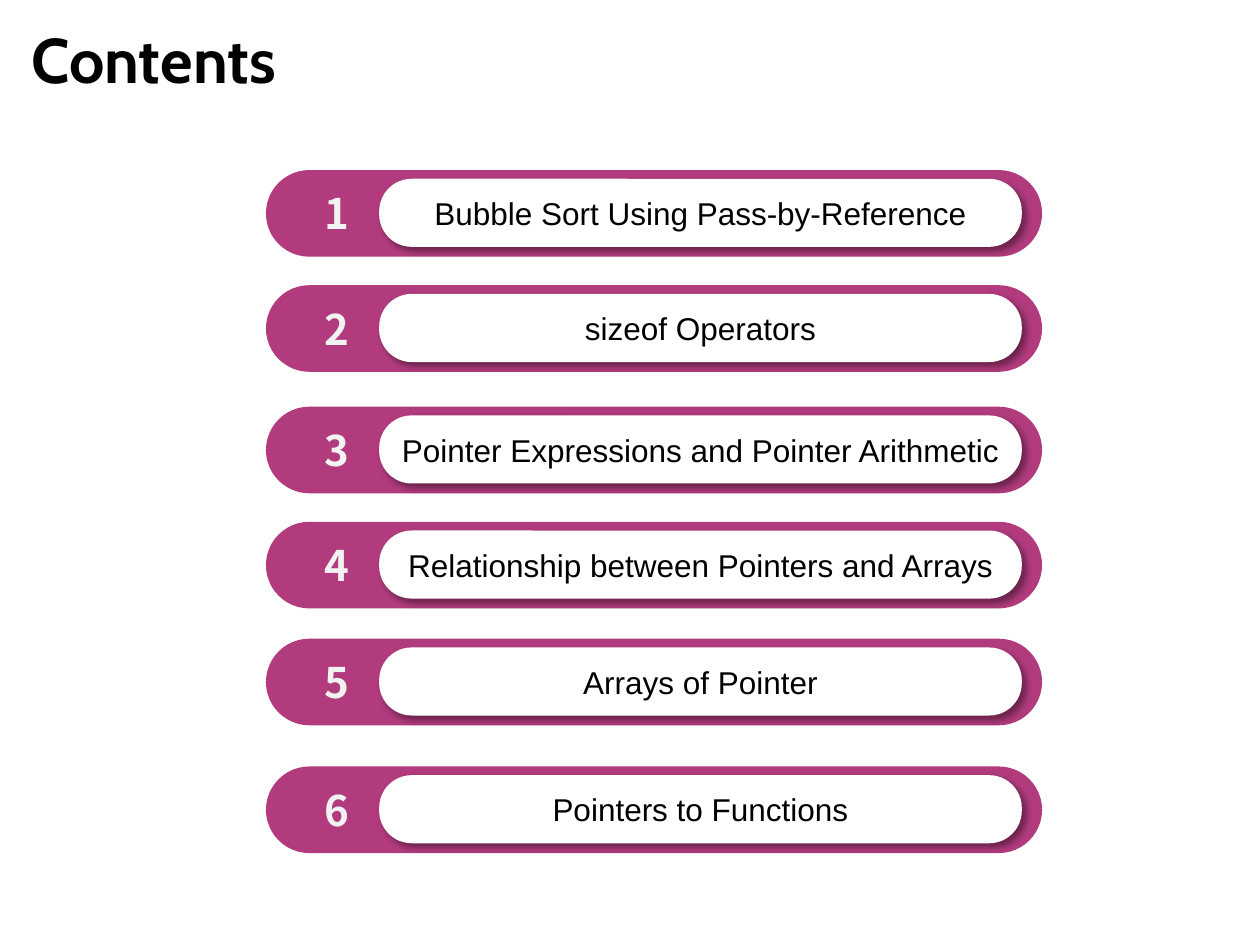
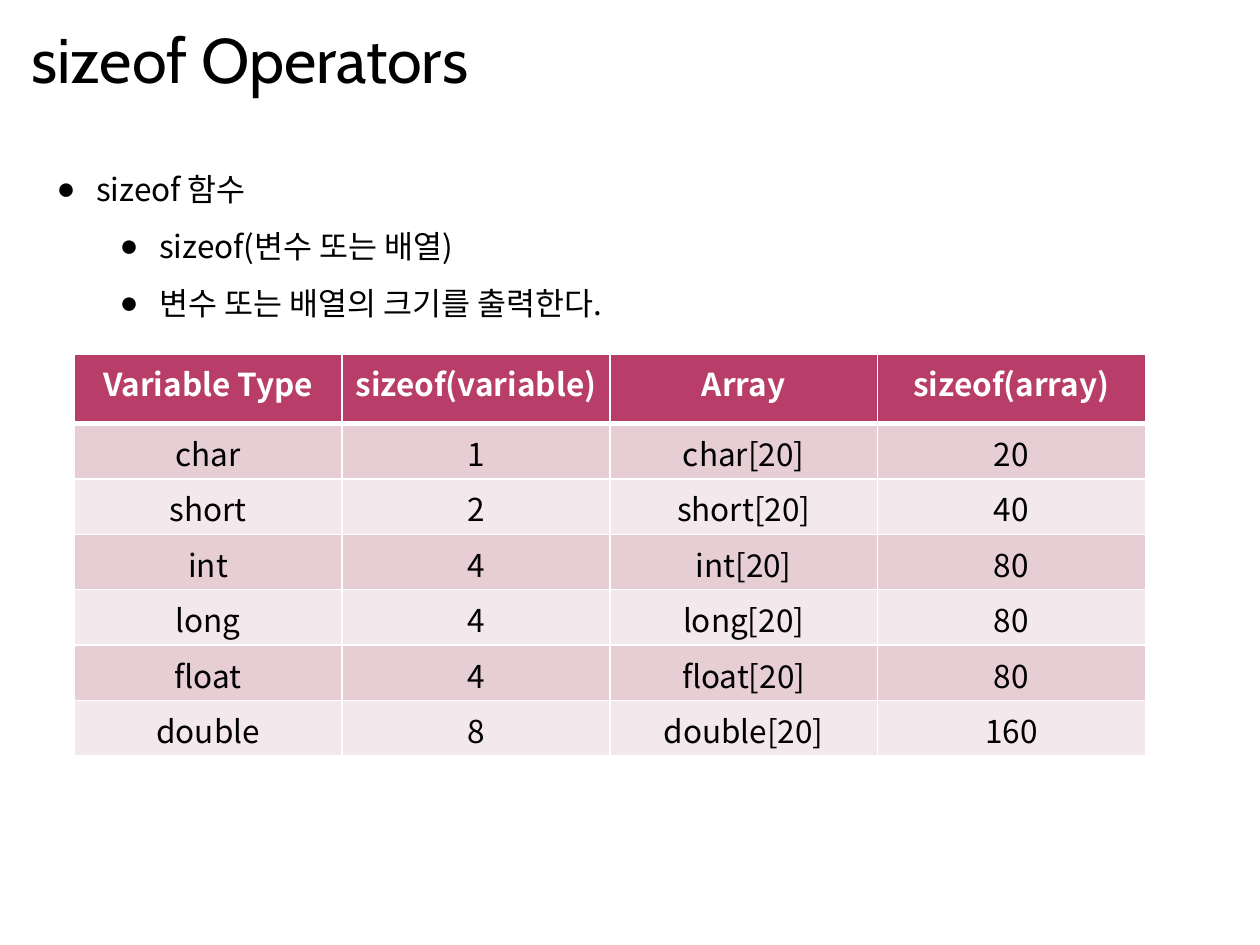
from lxml import etree
from pptx import Presentation
from pptx.dml.color import RGBColor
from pptx.enum.shapes import MSO_SHAPE
from pptx.enum.text import MSO_ANCHOR, MSO_AUTO_SIZE, PP_ALIGN
from pptx.oxml.ns import qn
from pptx.util import Pt

ROUNDED = MSO_SHAPE.ROUNDED_RECTANGLE
MIDDLE = MSO_ANCHOR.MIDDLE
GROW = MSO_AUTO_SIZE.SHAPE_TO_FIT_TEXT
FIXED = MSO_AUTO_SIZE.NONE
LEFT, CENTER = PP_ALIGN.LEFT, PP_ALIGN.CENTER

COLORS = {
    "ink": "000000",
    "paper": "FFFFFF",
    "bar": "B23B7E",
    "number": "F2F2F2",
    "header": "B83D68",
    "band_dark": "E6CED4",
    "band_light": "F3E8EB",
}
TITLE_FONT, TOPIC_FONT, TEXT_FONT = "Cabin", "Arial", "Noto Sans CJK KR"
TITLE_LAYOUT, LIST_LAYOUT = 5, 1

TOPICS = [
    (97.2, "Bubble Sort Using Pass-by-Reference"),
    (163, "sizeof Operators"),
    (232.4, "Pointer Expressions and Pointer Arithmetic"),
    (298.2, "Relationship between Pointers and Arrays"),
    (365, "Arrays of Pointer"),
    (438, "Pointers to Functions"),
]
EXPLANATION = [
    (0, "sizeof 함수"),
    (1, "sizeof(변수 또는 배열)"),
    (1, "변수 또는 배열의 크기를 출력한다."),
]
TYPE_SIZES = [("char", 1), ("short", 2), ("int", 4), ("long", 4), ("float", 4), ("double", 8)]
ARRAY_LENGTH = 20


class Deck:
    """Holds the shared style and the slide being built."""

    def __init__(self):
        self.presentation = Presentation()
        self.presentation.slide_width = Pt(720)
        self.presentation.slide_height = Pt(540)
        self.slide = None

    def rgb(self, color):
        return RGBColor.from_string(COLORS[color])

    def place(self, shape, left, top, width, height):
        shape.left, shape.top = Pt(left), Pt(top)
        shape.width, shape.height = Pt(width), Pt(height)

    def style(self, paragraph, font_name, size, color="ink", bold=False, align=CENTER):
        paragraph.alignment = align
        font = paragraph.font
        font.name, font.size, font.bold = font_name, Pt(size), bold
        font.color.rgb = self.rgb(color)
        defaults = paragraph._p.pPr.find(qn("a:defRPr"))
        etree.SubElement(defaults, qn("a:ea"), typeface=font_name)

    def start_slide(self, layout, title, width, bold=False):
        self.slide = self.presentation.slides.add_slide(self.presentation.slide_layouts[layout])
        heading = self.slide.shapes.title
        self.place(heading, 10.8, 8.6, width, 50)
        frame = heading.text_frame
        frame.text = title
        frame.vertical_anchor, frame.auto_size = MIDDLE, FIXED
        self.style(frame.paragraphs[0], TITLE_FONT, 36, bold=bold, align=LEFT)

    def capsule(self, left, top, width, height, color, rounding):
        capsule = self.slide.shapes.add_shape(ROUNDED, Pt(left), Pt(top), Pt(width), Pt(height))
        capsule.adjustments[0] = rounding
        capsule.shadow.inherit = False
        capsule.fill.solid()
        capsule.fill.fore_color.rgb = self.rgb(color)
        capsule.line.fill.background()
        return capsule

    def cast_shadow(self, shape):
        effects = shape._element.spPr.find(qn("a:effectLst"))
        shadow = etree.SubElement(
            effects, qn("a:outerShdw"), blurRad=str(Pt(4)), dist=str(Pt(3)),
            dir=str(45 * 60000), algn="tl", rotWithShape="0")
        tint = etree.SubElement(shadow, qn("a:srgbClr"), val=COLORS["ink"])
        etree.SubElement(tint, qn("a:alpha"), val="40000")

    def topic_row(self, number, top, topic):
        self.capsule(152, top, 443.5, 49.5, "bar", 0.5)
        label = self.slide.shapes.add_textbox(Pt(171.4), Pt(top + 6.7), Pt(41.8), Pt(36))
        label.text_frame.word_wrap = True
        label.text_frame.auto_size = GROW
        label.text_frame.text = str(number)
        self.style(label.text_frame.paragraphs[0], TEXT_FONT, 24, "number", bold=True)

        pill = self.capsule(216.7, top + 5, 367.2, 38.9, "paper", 0.478)
        self.cast_shadow(pill)
        pill.text_frame.vertical_anchor = MIDDLE
        pill.text_frame.text = topic
        self.style(pill.text_frame.paragraphs[0], TOPIC_FONT, 18)

    def bullet_list(self, items, left, top, width, height):
        body = self.slide.placeholders[1]
        self.place(body, left, top, width, height)
        frame = body.text_frame
        frame.word_wrap, frame.auto_size = False, GROW
        frame.text = "\n".join(text for _, text in items)
        for paragraph, (level, _) in zip(frame.paragraphs, items):
            paragraph.level = level
            paragraph.line_spacing = 1.5
            paragraph.space_before = Pt(0)
            self.style(paragraph, TEXT_FONT, 18, align=LEFT)
            properties = paragraph._p.pPr
            properties.set("marL", str(Pt(22.5 + 36 * level)))
            properties.set("indent", str(Pt(-22.5)))
            bullet = etree.Element(qn("a:buChar"), char="●")
            properties.find(qn("a:defRPr")).addprevious(bullet)

    def cell_borders(self, cell, top, bottom):
        properties = cell._tc.get_or_add_tcPr()
        edges = [("a:lnL", 1), ("a:lnR", 1), ("a:lnT", top), ("a:lnB", bottom)]
        for position, (edge, weight) in enumerate(edges):
            border = etree.Element(qn(edge), w=str(Pt(weight)))
            fill = etree.SubElement(border, qn("a:solidFill"))
            etree.SubElement(fill, qn("a:srgbClr"), val=COLORS["paper"])
            properties.insert(position, border)

    def table(self, rows, left, top, column_width, header_height, row_height):
        columns = len(rows[0])
        height = header_height + row_height * (len(rows) - 1)
        table = self.slide.shapes.add_table(
            len(rows), columns, Pt(left), Pt(top), Pt(column_width * columns), Pt(height)).table
        for column in table.columns:
            column.width = Pt(column_width)
        for index, values in enumerate(rows):
            is_header = index == 0
            table.rows[index].height = Pt(header_height if is_header else row_height)
            band = "header" if is_header else ("band_light", "band_dark")[index % 2]
            for cell, value in zip(table.rows[index].cells, values):
                cell.text = str(value)
                cell.fill.solid()
                cell.fill.fore_color.rgb = self.rgb(band)
                self.cell_borders(cell, 3 if index == 1 else 1, 3 if is_header else 1)
                self.style(cell.text_frame.paragraphs[0], TEXT_FONT, 18,
                           "paper" if is_header else "ink", bold=is_header)


def main():
    deck = Deck()

    deck.start_slide(TITLE_LAYOUT, "Contents", 343.4, bold=True)
    for number, (top, topic) in enumerate(TOPICS, 1):
        deck.topic_row(number, top, topic)

    deck.start_slide(LIST_LAYOUT, "sizeof Operators", 648)
    size_rows = [("Variable Type", "sizeof(variable)", "Array", "sizeof(array)")]
    size_rows += [(name, size, f"{name}[{ARRAY_LENGTH}]", size * ARRAY_LENGTH)
                  for name, size in TYPE_SIZES]
    deck.table(size_rows, 42.5, 202.3, 153, 39.6, 31.7)
    deck.bullet_list(EXPLANATION, 25.2, 82.8, 359.3, 105)

    deck.presentation.save("out.pptx")


if __name__ == "__main__":
    main()
